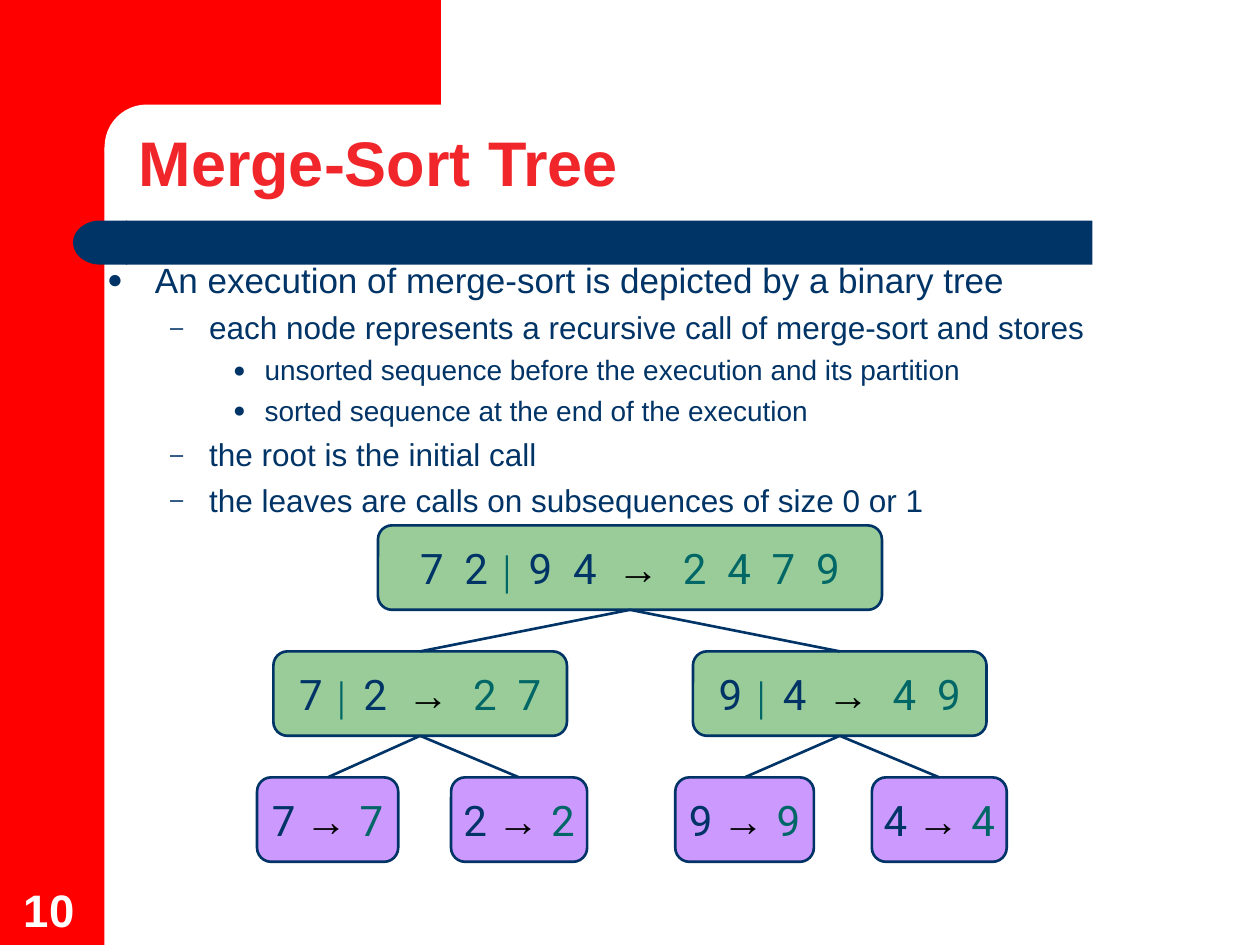
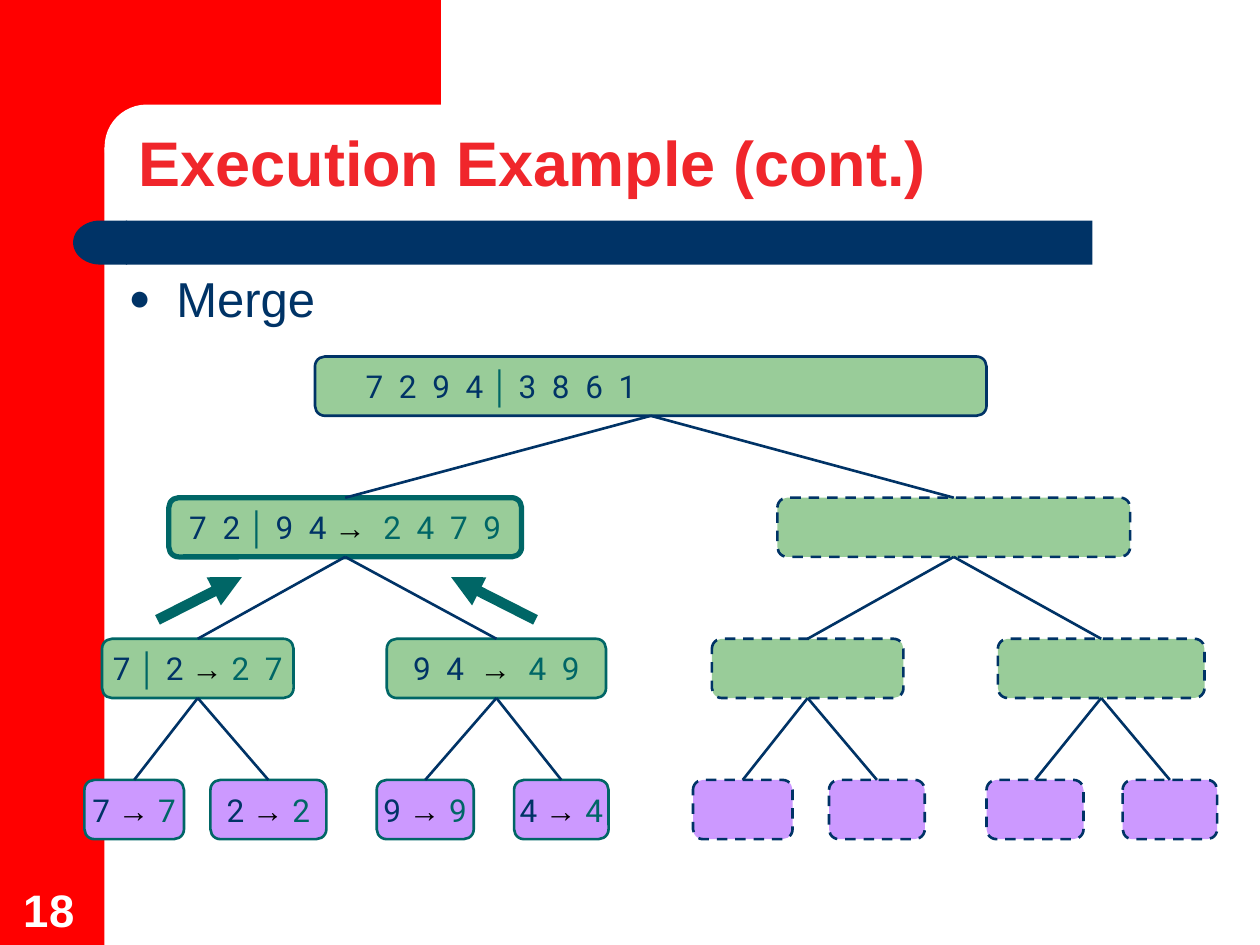
from dataclasses import dataclass

from lxml import etree
from pptx import Presentation
from pptx.dml.color import RGBColor
from pptx.enum.dml import MSO_LINE
from pptx.enum.shapes import MSO_CONNECTOR, MSO_SHAPE
from pptx.enum.text import MSO_ANCHOR, MSO_AUTO_SIZE, PP_ALIGN
from pptx.oxml.ns import qn
from pptx.util import Inches, Pt

RECT = MSO_SHAPE.RECTANGLE
ROUNDED = MSO_SHAPE.ROUNDED_RECTANGLE
DELAY = MSO_SHAPE.FLOWCHART_DELAY
STRAIGHT = MSO_CONNECTOR.STRAIGHT
DASH = MSO_LINE.DASH
MIDDLE, BOTTOM = MSO_ANCHOR.MIDDLE, MSO_ANCHOR.BOTTOM
LEFT, CENTER = PP_ALIGN.LEFT, PP_ALIGN.CENTER
NO_FIT = MSO_AUTO_SIZE.NONE

RED, TITLE_RED, WHITE, BLACK = "FF0000", "F0262B", "FFFFFF", "000000"
NAVY, TEAL, GREEN, PURPLE = "003366", "006666", "99CC99", "CC99FF"
TEXT_FONT, NUMBER_FONT = "Arial", "Roboto"

# Bullet character, text indent and hanging indent for each list level
BULLETS = [("●", 0.38, 0.38), ("–", 0.81, 0.31), ("●", 1.25, 0.25)]


@dataclass
class Node:
    text: str
    left: float
    width: float
    outline: str = NAVY
    weight: float = 1.5
    inset: float = 0  # left inset; 0 centres the text


def rgb(color):
    return RGBColor.from_string(color)


def add_run(paragraph, text, size=18, color=NAVY, font=TEXT_FONT, bold=False):
    run = paragraph.add_run()
    run.text = text
    run.font.size = Pt(size)
    run.font.name = font
    run.font.bold = bold
    run.font.color.rgb = rgb(color)


def place(shape, left, top, width, height):
    shape.left, shape.top = Inches(left), Inches(top)
    shape.width, shape.height = Inches(width), Inches(height)


def add_block(slide, kind, left, top, width, height, fill):
    block = slide.shapes.add_shape(
        kind, Inches(left), Inches(top), Inches(width), Inches(height))
    block.shadow.inherit = False
    block.fill.solid()
    block.fill.fore_color.rgb = rgb(fill)
    block.line.fill.background()
    return block


def add_line(slide, start=(0, 0), end=(0, 0), color=NAVY, weight=1.5, arrow=False):
    line = slide.shapes.add_connector(STRAIGHT, *map(Inches, (*start, *end)))
    line.line.color.rgb = rgb(color)
    line.line.width = Pt(weight)
    properties = line._element.spPr
    if arrow:
        etree.SubElement(properties.find(qn("a:ln")), qn("a:tailEnd"), type="triangle")
    etree.SubElement(properties, qn("a:effectLst"))
    return line


def write_sequence(paragraph, text, size):
    """Input in navy, partition bar and sorted result in teal, arrow in black."""
    unsorted, arrow, result = text.partition("→")
    first, bar, second = unsorted.partition("│")
    sorted_part = result.lstrip()
    gap = result[:len(result) - len(sorted_part)]
    number = {"size": size, "font": NUMBER_FONT}
    parts = [
        (first, number),
        (bar, {"color": TEAL, "bold": True}),
        (second, number),
        (arrow + gap, {"size": size, "color": BLACK, "bold": True}),
        (sorted_part, {**number, "color": TEAL}),
    ]
    for part, style in parts:
        if part:
            add_run(paragraph, part, **style)


def add_node(slide, node, top, height, fill, size):
    box = add_block(slide, ROUNDED, node.left, top, node.width, height, fill)
    box.line.color.rgb = rgb(node.outline)
    box.line.width = Pt(node.weight)
    if not node.text:  # call not yet made
        box.line.dash_style = DASH
        return box
    frame = box.text_frame
    frame.word_wrap = bool(node.inset)
    frame.vertical_anchor = MIDDLE
    paragraph = frame.paragraphs[0]
    paragraph.alignment = CENTER
    if node.inset:
        frame.margin_left = Inches(node.inset)
        paragraph.alignment = LEFT
    write_sequence(paragraph, node.text, size)
    return box


def add_tree(slide, levels, top, step, height, size):
    """Draw a full binary tree; the last level holds the leaves."""
    boxes = []
    for depth, nodes in enumerate(levels):
        fill = PURPLE if depth == len(levels) - 1 else GREEN
        for node in nodes:
            boxes.append(
                add_node(slide, node, top + depth * step, height, fill, size))
    for index, child in enumerate(boxes[1:]):
        branch = add_line(slide)
        branch.begin_connect(boxes[index // 2], 2)
        branch.end_connect(child, 0)


def add_frame(slide, layout):
    """Build the red corner and navy band, then move them to the layout."""
    corner = [
        add_block(slide, RECT, 0, 0, 0.83, 7.5, RED),
        add_block(slide, RECT, 0.75, 0, 2.75, 1.17, RED),
    ]
    panel = add_block(slide, ROUNDED, 0.83, 0.83, 5.58, 0.67, WHITE)
    panel.adjustments[0] = 0.5
    band = add_block(slide, RECT, 1, 1.75, 7.67, 0.35, NAVY)
    band_end = add_block(slide, DELAY, 0.58, 1.75, 0.43, 0.35, NAVY)
    band_end.rotation = 180
    for part in (*corner, panel, band, band_end):
        layout.shapes._spTree.append(part._element)


def add_list(body, items, space_ratio=0.25):
    """Write (level, size, text) items as a bulleted list."""
    frame = body.text_frame
    frame.auto_size = NO_FIT
    for index, (level, size, text) in enumerate(items):
        paragraph = frame.add_paragraph() if index else frame.paragraphs[0]
        paragraph.level = level
        paragraph.space_before = Pt(size * space_ratio)
        bullet, indent, hanging = BULLETS[level]
        properties = paragraph._p.get_or_add_pPr()
        properties.set("marL", str(Inches(indent)))
        properties.set("indent", str(-Inches(hanging)))
        color = etree.SubElement(properties, qn("a:buClr"))
        etree.SubElement(color, qn("a:srgbClr"), val=NAVY)
        etree.SubElement(properties, qn("a:buSzPct"), val="75000")
        etree.SubElement(properties, qn("a:buChar"), char=bullet)
        add_run(paragraph, text, size=size)


def add_content_slide(deck, layout, heading, number, body_area, items):
    slide = deck.slides.add_slide(layout)
    title, body = slide.placeholders[0], slide.placeholders[1]

    place(title, 1, 1, 8.75, 0.64)
    title.text_frame.auto_size = NO_FIT
    title.text_frame.vertical_anchor = BOTTOM
    paragraph = title.text_frame.paragraphs[0]
    paragraph.alignment = LEFT
    paragraph.line_spacing = 0.9
    add_run(paragraph, heading, size=36, color=TITLE_RED, bold=True)

    place(body, *body_area)
    add_list(body, items)

    page = slide.shapes.add_textbox(
        Inches(0.09), Inches(6.94), Inches(0.64), Inches(0.54)).text_frame
    page.word_wrap = True
    page.vertical_anchor = BOTTOM
    add_run(page.paragraphs[0], number, size=26, color=WHITE, bold=True)
    return slide


def add_merge_sort_tree(deck, layout):
    slide = add_content_slide(
        deck, layout, "Merge-Sort Tree", "10", (0.75, 2, 8.75, 2.17), [
            (0, 20, "An execution of merge-sort is depicted by a binary tree"),
            (1, 18, "each node represents a recursive call of merge-sort and stores"),
            (2, 16, "unsorted sequence before the execution and its partition"),
            (2, 16, "sorted sequence at the end of the execution"),
            (1, 18, "the root is the initial call"),
            (1, 18, "the leaves are calls on subsequences of size 0 or 1"),
        ])
    levels = [
        [Node("7  2 │ 9  4  →  2  4  7  9", 3, 4)],
        [Node("7 │ 2  →  2  7", 2.17, 2.33), Node("9 │ 4  →  4  9", 5.5, 2.33)],
        [Node("7 → 7", 2.04, 1.12), Node("2 → 2", 3.58, 1.08),
         Node("9 → 9", 5.36, 1.1), Node("4 → 4", 6.92, 1.07)],
    ]
    add_tree(slide, levels, top=4.17, step=1, height=0.67, size=24)
    return slide


def add_execution_example(deck, layout):
    slide = add_content_slide(
        deck, layout, "Execution Example (cont.)", "18",
        (0.92, 2.08, 8.5, 0.57), [(0, 28, "Merge")])
    levels = [
        [Node("7  2  9  4 │ 3  8  6  1", 2.5, 5.33, inset=0.38)],
        [Node("7  2 │ 9  4 →  2  4  7  9", 1.34, 2.8, TEAL, 3),
         Node("", 6.17, 2.8)],
        [Node("7 │ 2 → 2  7", 0.81, 1.52, TEAL),
         Node("9  4  →  4  9", 3.07, 1.74, TEAL),
         Node("", 5.65, 1.52), Node("", 7.92, 1.64)],
        [Node("7 → 7", 0.67, 0.79, TEAL), Node("2 → 2", 1.67, 0.92, TEAL),
         Node("9 → 9", 2.99, 0.77, TEAL), Node("4 → 4", 4.08, 0.75, TEAL),
         Node("", 5.5, 0.79), Node("", 6.58, 0.76),
         Node("", 7.83, 0.77), Node("", 8.91, 0.75)],
    ]
    add_tree(slide, levels, top=2.83, step=1.12, height=0.47, size=18)

    # Merge direction
    for start_x, end_x in ((1.25, 1.92), (4.25, 3.58)):
        add_line(slide, (start_x, 4.92), (end_x, 4.58), TEAL, 6, arrow=True)


def main():
    deck = Presentation()
    deck.slide_width, deck.slide_height = Inches(10), Inches(7.5)
    layout = deck.slide_layouts[1]
    first_slide = add_merge_sort_tree(deck, layout)
    add_frame(first_slide, layout)
    add_execution_example(deck, layout)
    deck.save("out.pptx")


if __name__ == "__main__":
    main()
